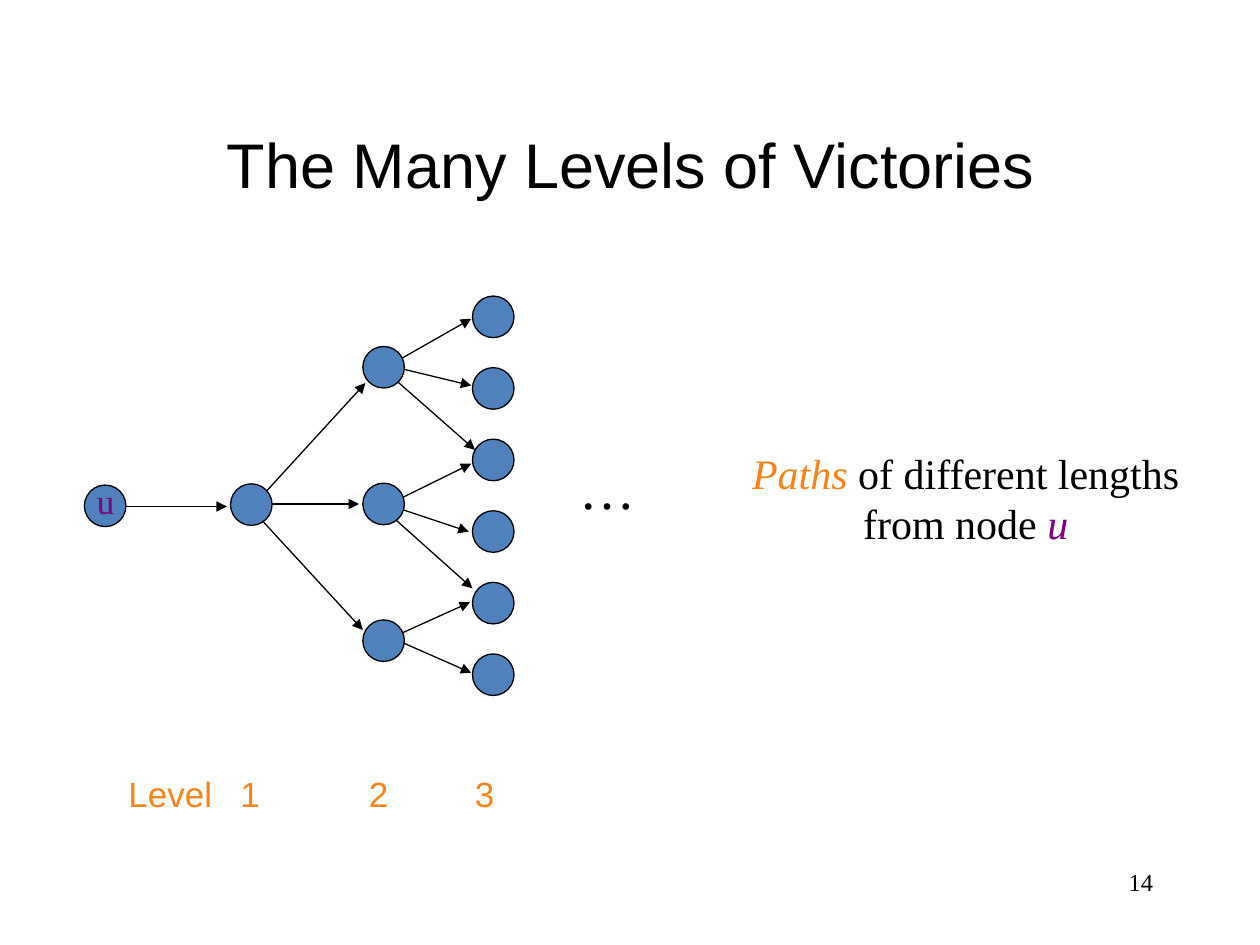
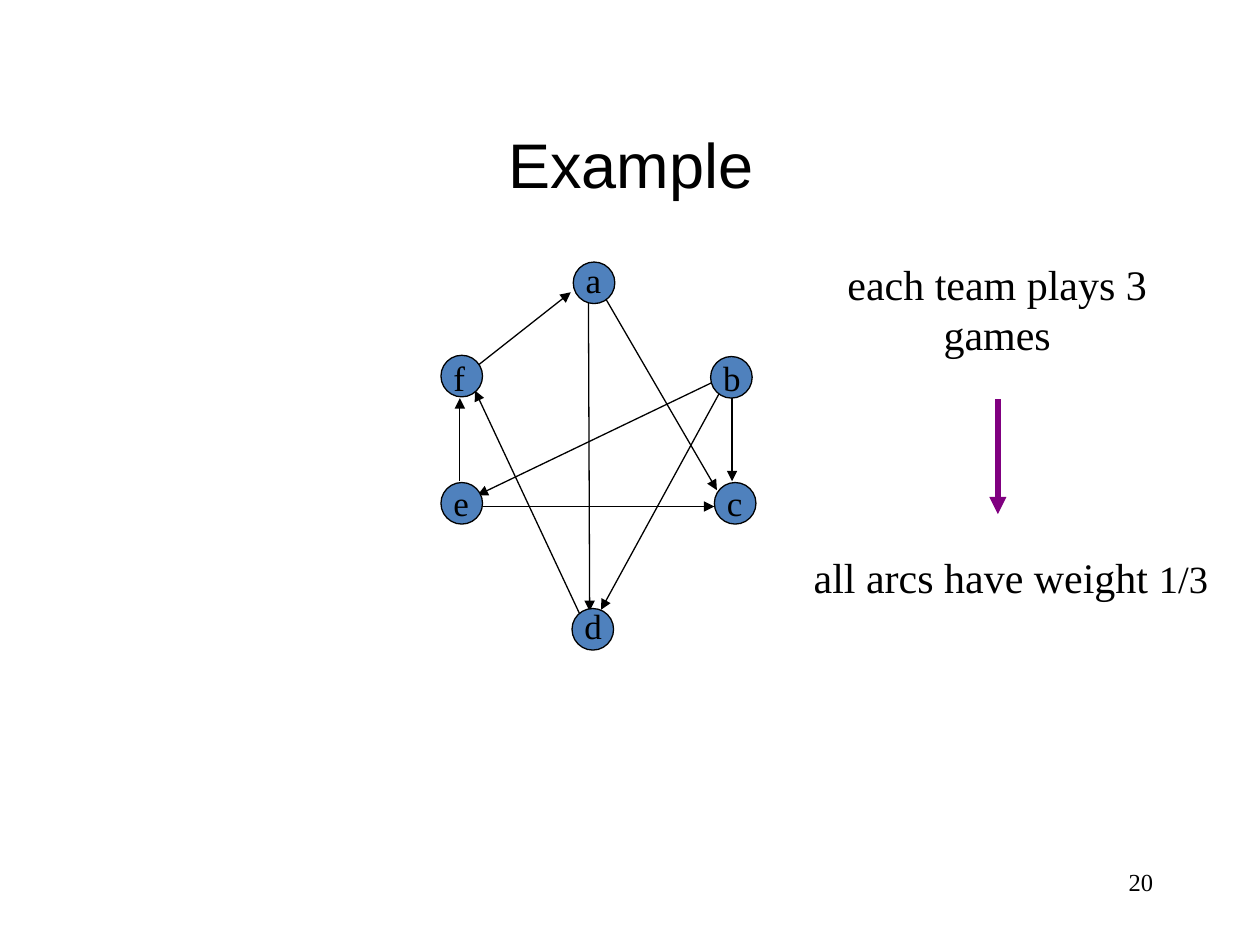
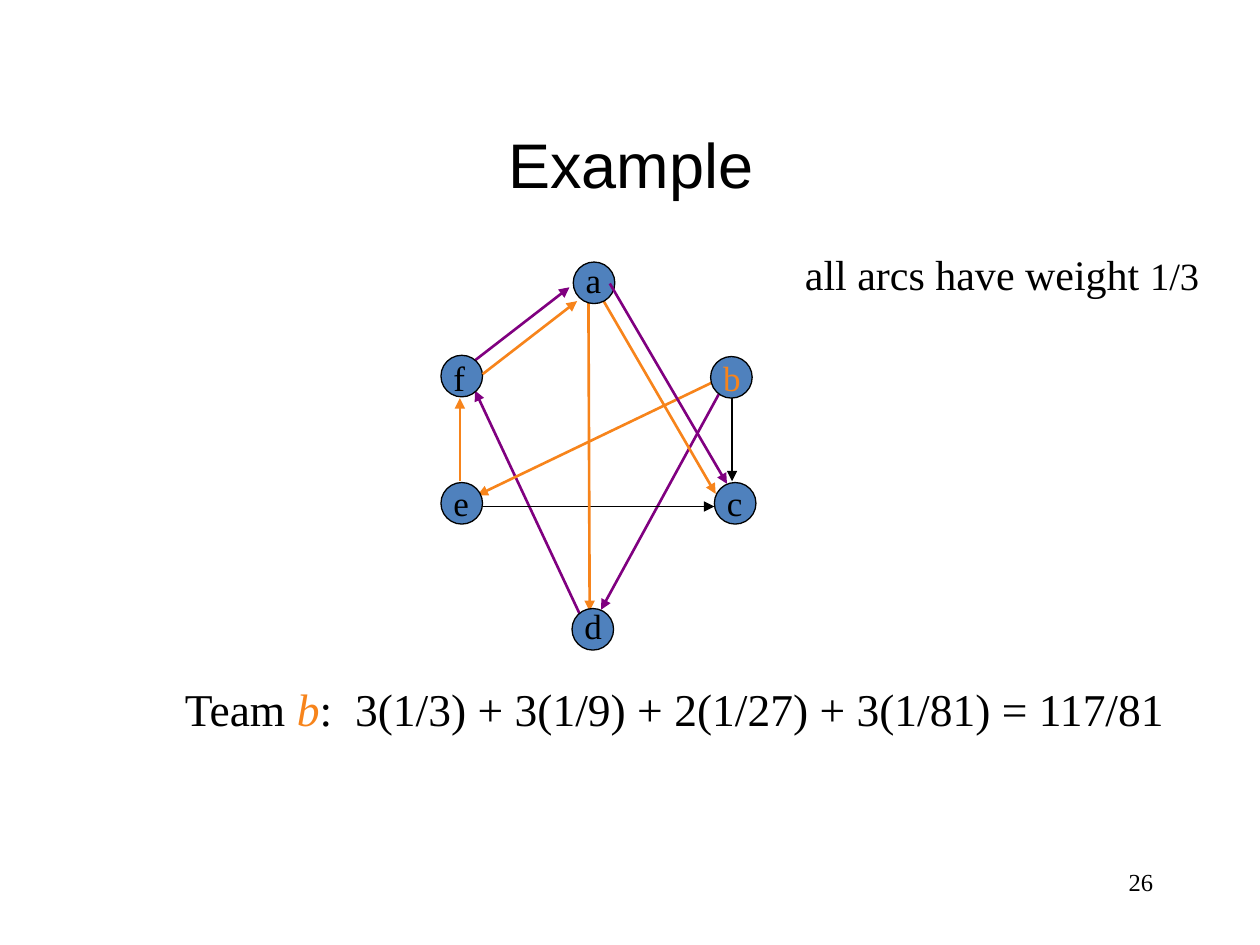
"""Build three slides on ranking teams by paths of victories."""
from lxml import etree
from pptx import Presentation
from pptx.dml.color import RGBColor
from pptx.enum.shapes import MSO_CONNECTOR, MSO_SHAPE
from pptx.enum.text import MSO_ANCHOR, MSO_AUTO_SIZE, PP_ALIGN
from pptx.oxml.ns import qn
from pptx.util import Cm, Pt

OVAL, LINE = MSO_SHAPE.OVAL, MSO_CONNECTOR.STRAIGHT
LEFT, MID, RIGHT = PP_ALIGN.LEFT, PP_ALIGN.CENTER, PP_ALIGN.RIGHT
MIDDLE, GROW = MSO_ANCHOR.MIDDLE, MSO_AUTO_SIZE.SHAPE_TO_FIT_TEXT
SANS, SERIF = "Arial", "Times New Roman"
HUES = {"ink": "000000", "node": "4F81BD", "plum": "800080", "gold": "F7841B"}
SIZE = 0.33
THIN, BOLD, HEAVY = 0.74, 1.5, 3.26

PAGES = [("The Many Levels of Victories", 14), ("Example", 20), ("Example", 26)]

# left, first top, step, count
TREE = [(0.67, 3.85, 0, 1), (1.83, 3.84, 0, 1),
        (2.88, 2.75, 1.085, 3), (3.75, 2.35, 0.568, 6)]
LINKS = [
    (0.89, 4.02, 1.8, 4.02),
    (2.04, 3.98, 2.9, 3.04), (1.94, 4, 2.85, 4), (1.96, 4, 2.88, 5),
    (3.16, 2.86, 3.74, 2.53), (3.16, 2.92, 3.74, 3.06), (3.02, 2.91, 3.77, 3.57),
    (3.07, 4.01, 3.74, 3.68), (2.97, 3.97, 3.72, 4.22), (3, 4, 3.75, 4.67),
    (3, 5.11, 3.73, 4.78), (2.99, 5.01, 3.74, 5.34),
]
LEVELS = [("Level", 0.92, 0.89), ("1", 1.81, 0.42), ("2", 2.83, 0.42), ("3", 3.67, 0.42)]

# name: left, top, label top, label width
TEAMS = {
    "a": (4.55, 2.08, 2, 0.32), "b": (5.64, 2.83, 2.78, 0.34),
    "c": (5.67, 3.83, 3.77, 0.32), "d": (4.54, 4.83, 4.75, 0.34),
    "e": (3.5, 3.83, 3.77, 0.32), "f": (3.5, 2.82, 2.78, 0.29),
}
ARCS = {
    "ef": (3.65, 3.82, 3.65, 3.16), "bd": (5.77, 3.01, 4.77, 4.84),
    "bc": (5.81, 2.93, 5.81, 3.82), "ac": (4.76, 2.29, 5.69, 3.89),
    "fa": (3.78, 2.91, 4.53, 2.32), "df": (4.67, 5.02, 3.77, 3.1),
    "ec": (3.83, 4.02, 5.67, 4.02), "ad": (4.67, 2.27, 4.68, 4.85),
    "be": (5.81, 2.96, 3.79, 3.93),
}
MOVED = {"ac": (4.75, 2.32, 5.68, 3.92), "fa": (3.77, 2.86, 4.52, 2.28)}
TINTS = {"ef": "gold", "ac": "gold", "ad": "gold", "be": "gold",
         "bd": "plum", "fa": "plum", "df": "plum"}
EXTRA = [((3.83, 2.97, 4.58, 2.39), "gold"), ((4.84, 2.25, 5.77, 3.84), "plum")]

PATHS = [("Paths", "gold", 24, True), (" of different lengths from node ", "ink", 24, False),
         ("u", "plum", 24, True)]
GAMES = [("each team plays 3 games", "ink", 24, False)]
WEIGHT = [("all arcs have weight ", "ink", 24, False), ("1/3", "ink", 22, False)]
SCORE = [("Team ", "ink", 26, False), ("b", "gold", 26, True),
         (":  3(1/3) + 3(1/9) + 2(1/27) + 3(1/81) = 117/81", "ink", 26, False)]


def inch(*nums):
    return [Cm(2.54 * num) for num in nums]


def rgb(hue):
    return RGBColor.from_string(HUES[hue])


def style(run, hue, size, slant=False, face=SERIF):
    font = run.font
    font.name, font.size, font.italic = face, Pt(size), slant
    font.color.rgb = rgb(hue)


def write(pool, spot, runs, face=SERIF, align=LEFT, wrap=True):
    frame = pool.add_textbox(*inch(*spot)).text_frame
    frame.word_wrap, frame.auto_size = wrap, GROW
    para = frame.paragraphs[0]
    para.alignment = align
    for text, hue, size, slant in runs:
        run = para.add_run()
        run.text = text
        style(run, hue, size, slant, face)


def arrow(pool, ends, hue="ink", width=THIN):
    link = pool.add_connector(LINE, *inch(*ends))
    link.line.color.rgb = rgb(hue)
    link.line.width = Pt(width)
    props = link._element.spPr
    etree.SubElement(props.find(qn("a:ln")), qn("a:tailEnd"), type="triangle")
    etree.SubElement(props, qn("a:effectLst"))


def node(pool, left, top):
    disc = pool.add_shape(OVAL, *inch(left, top, SIZE, SIZE))
    disc.shadow.inherit = False
    disc.fill.solid()
    disc.fill.fore_color.rgb = rgb("node")
    disc.line.color.rgb = rgb("ink")
    disc.line.width = Pt(THIN)


def start(deck, title, number):
    slide = deck.slides.add_slide(deck.slide_layouts[5])
    head = slide.shapes.title
    head.left, head.top, head.width, head.height = inch(0.67, 0.67, 8.67, 1.25)
    frame = head.text_frame
    frame.text = title
    frame.vertical_anchor = MIDDLE
    para = frame.paragraphs[0]
    para.alignment = MID
    style(para.runs[0], "ink", 36, face=SANS)
    write(slide.shapes, (7.17, 6.83, 2.08, 0.5),
          [(str(number), "ink", 14, False)], align=RIGHT)
    return slide.shapes


def graph(pool, arcs, tints, marked=""):
    for name, ends in arcs.items():
        tint = tints.get(name)
        arrow(pool, ends, tint or "ink", BOLD if tint else THIN)
    for name, (left, top, label, width) in TEAMS.items():
        group = pool.add_group_shape().shapes
        node(group, left, top)
        hue = "gold" if name == marked else "ink"
        write(group, (left, label, width, 0.44), [(name, hue, 20, False)], wrap=False)


def levels(pool):
    for ends in LINKS:
        arrow(pool, ends)
    for left, top, step, count in TREE:
        for row in range(count):
            node(pool, left, top + row * step)
    write(pool, (0.67, 3.76, 0.34, 0.44), [("u", "plum", 20, False)], wrap=False)
    write(pool, (5.75, 3.5, 3.83, 0.9), PATHS, align=MID)
    for text, left, width in LEVELS:
        write(pool, (left, 6.08, width, 0.44), [(text, "gold", 20, False)], SANS)
    write(pool, (4.5, 3.55, 0.64, 0.64), [("…", "ink", 32, False)], wrap=False)


def games(pool):
    graph(pool, ARCS, {})
    write(pool, (6.33, 2, 3.17, 0.9), GAMES, align=MID)
    write(pool, (6.36, 4.33, 3.33, 0.5), WEIGHT, wrap=False)
    arrow(pool, (7.92, 3.17, 7.92, 4.08), "plum", HEAVY)


def score(pool):
    graph(pool, {**ARCS, **MOVED}, TINTS, "b")
    write(pool, (1.37, 5.36, 8.1, 0.54), SCORE, wrap=False)
    for ends, hue in EXTRA:
        arrow(pool, ends, hue, BOLD)
    write(pool, (6.29, 1.92, 3.33, 0.5), WEIGHT, wrap=False)


def main():
    deck = Presentation()
    deck.slide_width, deck.slide_height = inch(10, 7.5)
    for (title, number), draw in zip(PAGES, (levels, games, score)):
        draw(start(deck, title, number))
    deck.save("out.pptx")


main()
